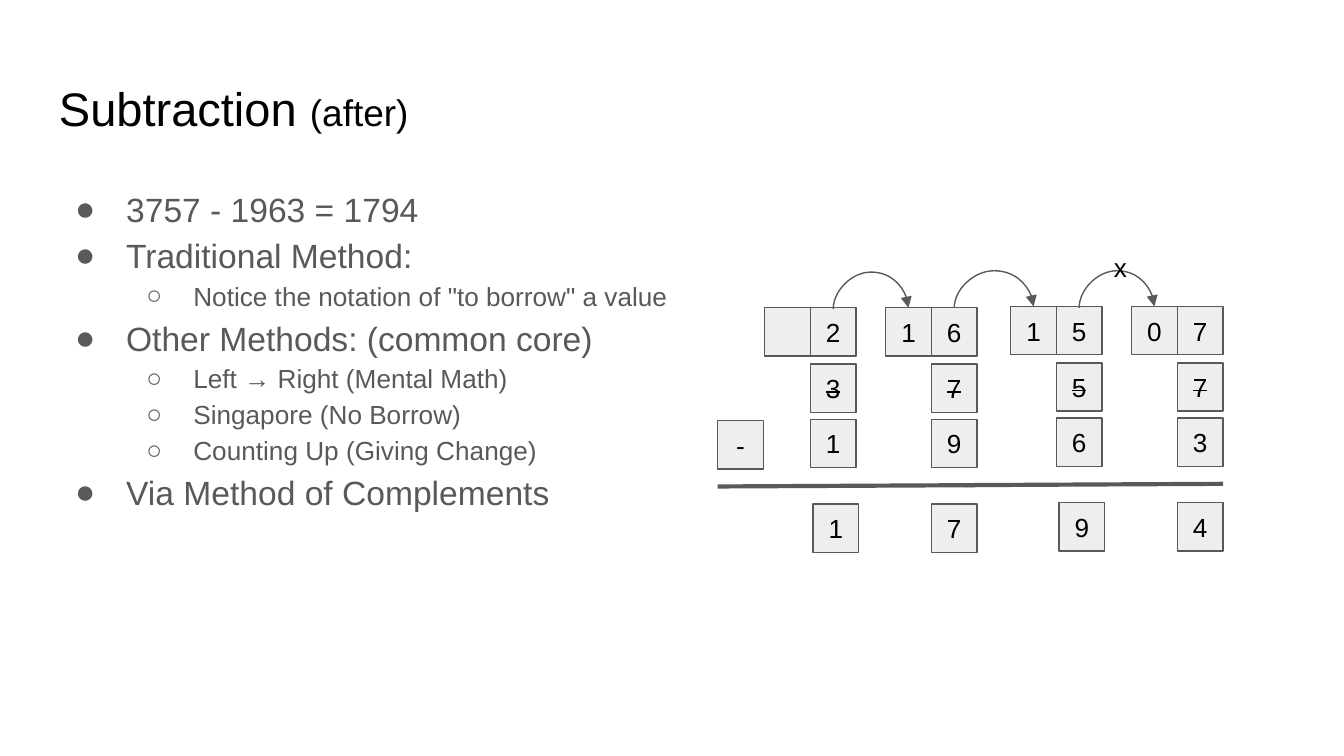
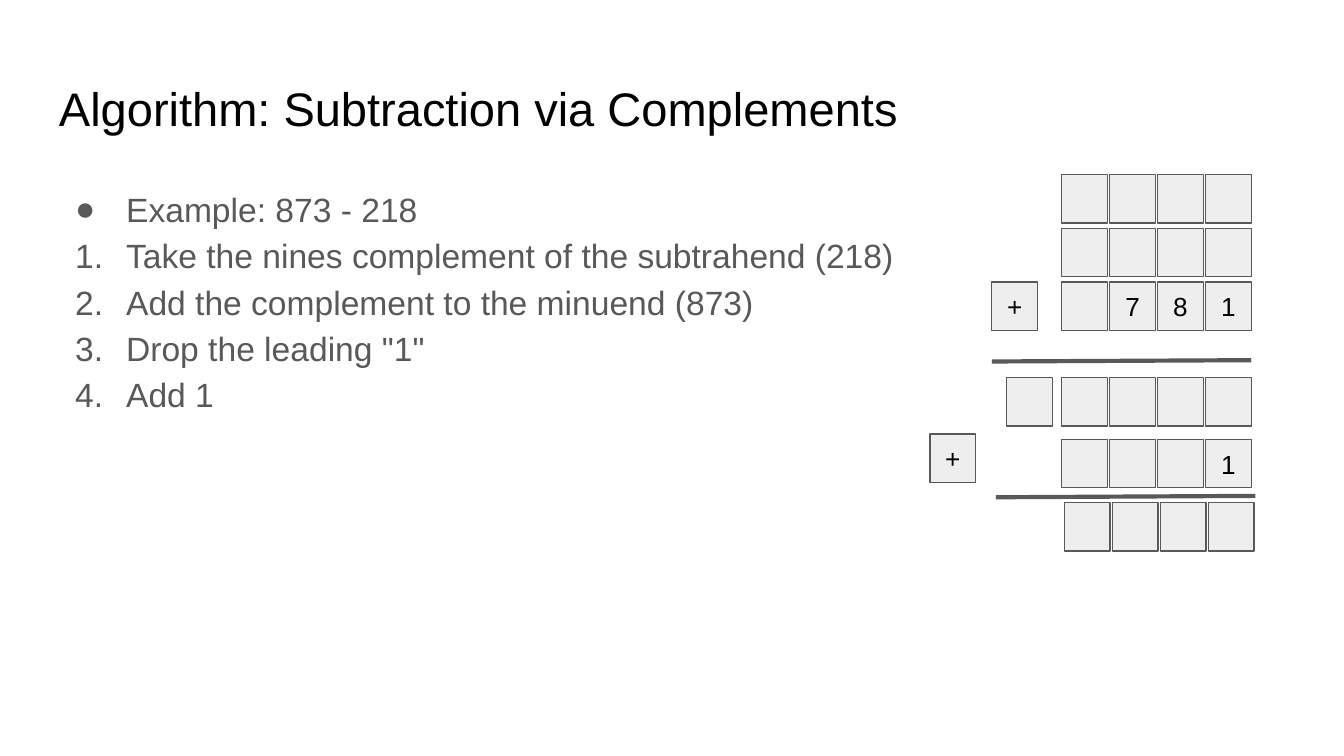
"""Build two slides on subtraction by borrowing and by complements."""
from dataclasses import dataclass

from lxml import etree
from pptx import Presentation
from pptx import util as u
from pptx.dml.color import RGBColor
from pptx.enum import shapes, text
from pptx.oxml.ns import qn


@dataclass(frozen=True)
class Theme:
    font: str = "Arial"
    ink: RGBColor = RGBColor(0, 0, 0)
    gray: RGBColor = RGBColor(0x59, 0x59, 0x59)
    cell: RGBColor = RGBColor(0xEE, 0xEE, 0xEE)
    title: float = 25.2
    subtitle: float = 19.8
    body: float = 18
    small: float = 14
    thin: float = 0.75
    thick: float = 2.25


@dataclass(frozen=True)
class Item:
    text: str
    level: int = 0
    numbered: bool = False


@dataclass(frozen=True)
class Column:
    x: float
    y: float
    borrowed: str
    value: str
    struck: str
    subtrahend: str
    result: str
    result_x: float


@dataclass(frozen=True)
class Row:
    x: float
    y: float
    digits: str = "    "


@dataclass(frozen=True)
class Arc:
    x: float
    y: float
    span: float


THEME = Theme()
SLIDE_W = 10
SLIDE_H = SLIDE_W * 9 / 16
BOX_W, BOX_H = 0.34, 0.36
ROW_PITCH = 1.07 / 3
ARC_STEP, ARC_RISE = 0.01, 0.28
RULE_W, RULE_RISE = 1.93, 0.01
STRUCK_DY, SUBTRAHEND_DY, RESULT_DY = 0.42, 0.83, 1.46

BORROW_ITEMS = [
    Item("3757 - 1963 = 1794"),
    Item("Traditional Method:"),
    Item('Notice the notation of "to borrow" a value', 1),
    Item("Other Methods: (common core)"),
    Item("Left → Right (Mental Math)", 1),
    Item("Singapore (No Borrow)", 1),
    Item("Counting Up (Giving Change)", 1),
    Item("Via Method of Complements"),
]
COMPLEMENT_ITEMS = [
    Item("Example: 873 - 218"),
    Item("Take the nines complement of the subtrahend (218)", numbered=True),
    Item("Add the complement to the minuend (873)", numbered=True),
    Item('Drop the leading "1"', numbered=True),
    Item("Add 1", numbered=True),
]
COLUMNS = [
    Column(6.03, 2.29, "", "2", "3", "1", "1", 6.05),
    Column(6.93, 2.29, "1", "6", "7", "9", "7", 6.93),
    Column(7.86, 2.28, "1", "5", "5", "6", "9", 7.88),
    Column(8.76, 2.28, "0", "7", "7", "3", "4", 8.76),
]
ARCS = [Arc(6.2, 2.3, 0.56), Arc(7.1, 2.29, 0.59), Arc(8.03, 2.29, 0.56)]
ROWS = [
    Row(7.9, 1.3),
    Row(7.9, 1.7),
    Row(7.9, 2.1, " 781"),
    Row(7.9, 2.81),
    Row(7.9, 3.27, "   1"),
    Row(7.92, 3.74),
]


def write(p, content: str, *, size: float, color: RGBColor = THEME.ink,
          strike: bool = False) -> None:
    """Add a formatted run to a paragraph."""
    r = p.add_run()
    r.text = content
    r.font.name = THEME.font
    r.font.size = u.Pt(size)
    r.font.color.rgb = color
    if strike:
        r.font._element.set("strike", "sngStrike")


def set_margins(tf) -> None:
    """Apply the shared wrapping and insets to a text frame."""
    tf.word_wrap = True
    tf.margin_left = tf.margin_right = u.Inches(0.1)
    tf.margin_top = tf.margin_bottom = u.Inches(0.1)


def add_text_box(slide, x: float, y: float, w: float, h: float):
    """Add an empty text box and return its text frame."""
    s = slide.shapes.add_textbox(u.Inches(x), u.Inches(y), u.Inches(w), u.Inches(h))
    set_margins(s.text_frame)
    return s.text_frame


def add_title(slide, title: str, note: str = "") -> None:
    """Add the slide title with an optional smaller note."""
    p = add_text_box(slide, 0.34, 0.49, 9.32, 0.63).paragraphs[0]
    write(p, title, size=THEME.title)
    if note:
        write(p, note, size=THEME.subtitle)


def add_bullet(p, item: Item) -> None:
    """Give a paragraph its indent and its bullet or number."""
    pPr = p._p.get_or_add_pPr()
    pPr.set("lvl", str(item.level))
    pPr.set("marL", str(u.Inches(0.5 * (item.level + 1))))
    pPr.set("indent", str(u.Inches(-0.35 if item.level else -0.38)))
    color = etree.SubElement(pPr, qn("a:buClr"))
    etree.SubElement(color, qn("a:srgbClr")).set("val", str(THEME.gray))
    etree.SubElement(pPr, qn("a:buFont")).set("typeface", THEME.font)
    if item.numbered:
        etree.SubElement(pPr, qn("a:buAutoNum")).set("type", "arabicPeriod")
    else:
        etree.SubElement(pPr, qn("a:buChar")).set("char", "●○"[item.level])


def add_body(slide, items: list[Item]) -> None:
    """Add the bulleted body text."""
    tf = add_text_box(slide, 0.34, 1.26, 9.32, 3.74)
    for i, item in enumerate(items):
        p = tf.add_paragraph() if i else tf.paragraphs[0]
        p.line_spacing = 1.15
        add_bullet(p, item)
        write(p, item.text, size=THEME.small if item.level else THEME.body,
              color=THEME.gray)


def add_box(slide, x: float, y: float, digit: str = "", strike: bool = False) -> None:
    """Add one digit box."""
    s = slide.shapes.add_shape(shapes.MSO_SHAPE.RECTANGLE, u.Inches(x), u.Inches(y),
                               u.Inches(BOX_W), u.Inches(BOX_H))
    s.shadow.inherit = False
    s.fill.solid()
    s.fill.fore_color.rgb = THEME.cell
    s.line.color.rgb = THEME.gray
    s.line.width = u.Pt(THEME.thin)
    tf = s.text_frame
    set_margins(tf)
    tf.vertical_anchor = text.MSO_ANCHOR.MIDDLE
    p = tf.paragraphs[0]
    p.alignment = text.PP_ALIGN.CENTER
    if digit.strip():
        write(p, digit, size=THEME.small, strike=strike)


def add_line(slide, kind, x1: float, y1: float, x2: float, y2: float, width: float):
    """Add a gray connector without a shadow."""
    c = slide.shapes.add_connector(kind, u.Inches(x1), u.Inches(y1),
                                   u.Inches(x2), u.Inches(y2))
    c.line.color.rgb = THEME.gray
    c.line.width = u.Pt(width)
    etree.SubElement(c._element.spPr, qn("a:effectLst"))
    return c


def add_rule(slide, x: float, y: float) -> None:
    """Add the thick sum line above a result."""
    add_line(slide, shapes.MSO_CONNECTOR.STRAIGHT, x, y, x + RULE_W, y - RULE_RISE,
             THEME.thick)


def add_arc(slide, arc: Arc) -> None:
    """Add a curved arrow that rises over the gap between two columns."""
    x = arc.x + (arc.span - ARC_STEP) / 2
    y = arc.y - (arc.span + ARC_STEP) / 2
    c = add_line(slide, shapes.MSO_CONNECTOR.CURVE, x, y, x + ARC_STEP, y + arc.span,
                 THEME.thin)
    spPr = c._element.spPr
    spPr.find(qn("a:xfrm")).set("rot", str(270 * 60000))
    guide = etree.SubElement(spPr.find(qn("a:prstGeom")).find(qn("a:avLst")), qn("a:gd"))
    guide.set("name", "adj1")
    guide.set("fmla", f"val {round(ARC_RISE / ARC_STEP * 100000)}")
    etree.SubElement(spPr.find(qn("a:ln")), qn("a:tailEnd")).set("type", "triangle")


def add_column(slide, col: Column) -> None:
    """Add one place value of the borrowing example."""
    add_box(slide, col.x - BOX_W, col.y, col.borrowed)
    add_box(slide, col.x, col.y, col.value)
    add_box(slide, col.x, col.y + STRUCK_DY, col.struck, strike=True)
    add_box(slide, col.x, col.y + SUBTRAHEND_DY, col.subtrahend)
    add_box(slide, col.result_x, col.y + RESULT_DY, col.result)


def add_row(slide, row: Row) -> None:
    """Add one row of evenly spaced digit boxes."""
    for i, digit in enumerate(row.digits):
        add_box(slide, row.x + i * ROW_PITCH, row.y, digit)


def build_borrowing(slide) -> None:
    """Fill the slide on subtraction with borrowing."""
    add_title(slide, "Subtraction ", "(after)")
    add_body(slide, BORROW_ITEMS)
    for col in COLUMNS:
        add_column(slide, col)
    add_rule(slide, 7.17, 3.61)
    add_rule(slide, 5.34, 3.62)
    for arc in ARCS:
        add_arc(slide, arc)
    tf = add_text_box(slide, 8.19, 1.77, 0.4, 0.44)
    write(tf.paragraphs[0], "x", size=THEME.small)
    add_box(slide, 5.34, 3.13, "-")


def build_complements(slide) -> None:
    """Fill the slide on subtraction via complements."""
    add_title(slide, "Algorithm: Subtraction via Complements")
    add_body(slide, COMPLEMENT_ITEMS)
    for row in ROWS:
        add_row(slide, row)
    add_box(slide, 7.38, 2.1, "+")
    add_box(slide, 7.49, 2.81)
    add_box(slide, 6.92, 3.23, "+")
    add_rule(slide, 7.38, 2.69)
    add_rule(slide, 7.41, 3.7)


def main() -> None:
    """Build and save the presentation."""
    prs = Presentation()
    prs.slide_width, prs.slide_height = u.Inches(SLIDE_W), u.Inches(SLIDE_H)
    for build in (build_borrowing, build_complements):
        build(prs.slides.add_slide(prs.slide_layouts[6]))
    prs.save("out.pptx")


if __name__ == "__main__":
    main()
